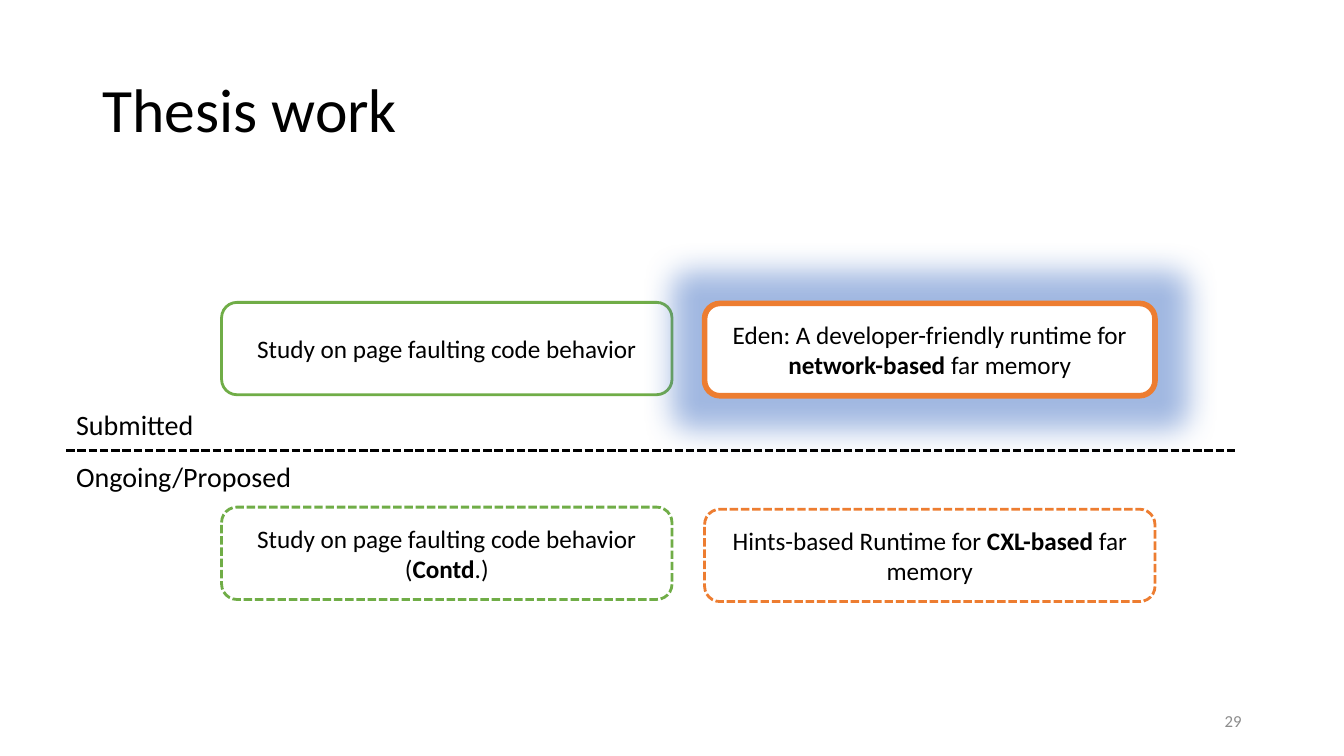
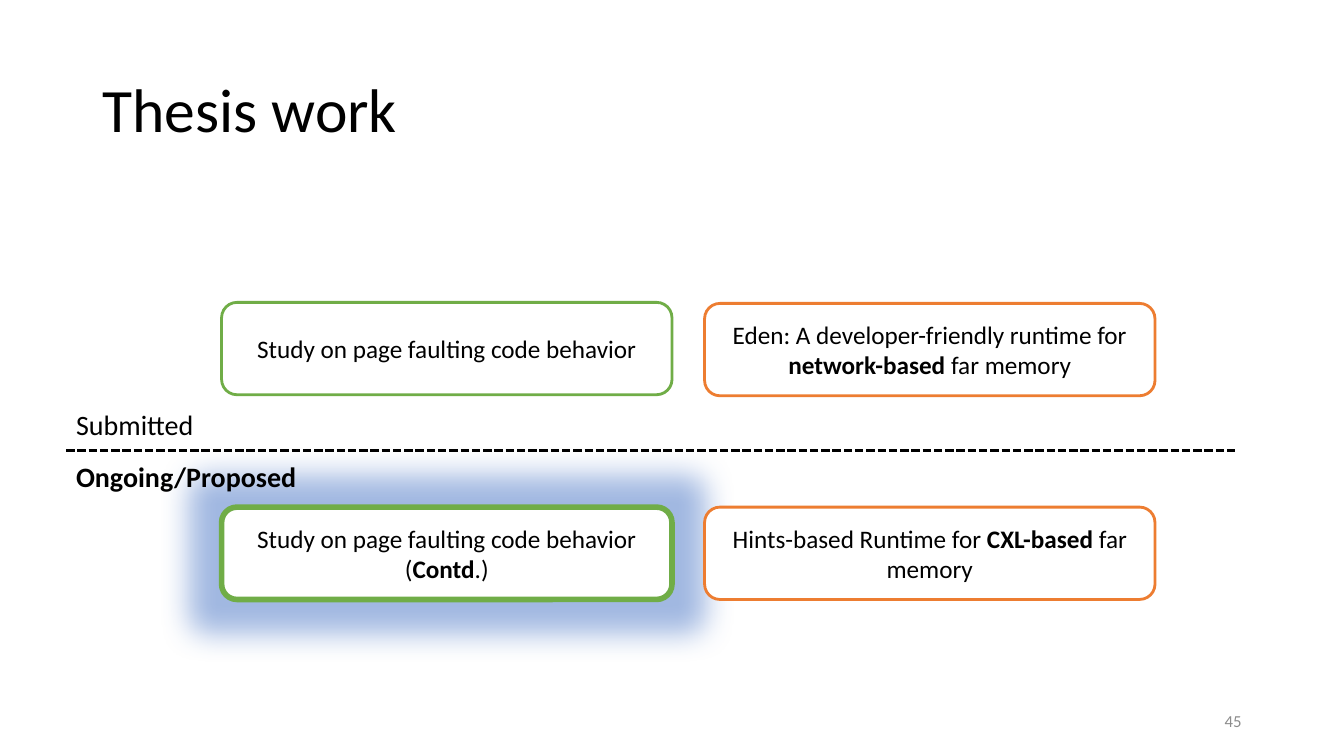
from lxml.etree import SubElement
from pptx import Presentation
from pptx.dml.color import RGBColor
from pptx.enum.dml import MSO_LINE
from pptx.enum.shapes import MSO_CONNECTOR, MSO_SHAPE
from pptx.enum.text import MSO_ANCHOR, MSO_AUTO_SIZE, PP_ALIGN
from pptx.oxml.ns import qn
from pptx.util import Emu, Pt

PX = 9525
FONT = "Calibri"
BLACK, WHITE, GRAY = "000000", "FFFFFF", "8C8C8C"
GREEN, ORANGE, BLUE = "70AD47", "ED7D31", "4472C4"
LEFT, RIGHT = 211, 671
TOP, LOW = 288, 483
BOX_W, BOX_H = 429, 88
EDGE, RULE_Y, RULE_END = 63, 429, 1177
GLOW = 57

TOPICS = [
    (LEFT, TOP, GREEN, ["Study on page faulting code behavior"]),
    (RIGHT, TOP + 1, ORANGE,
     ["Eden: A developer-friendly runtime for ", "network-based", " far memory"]),
    (LEFT, LOW, GREEN, ["Study on page faulting code behavior (", "Contd", ".)"]),
    (RIGHT, LOW, ORANGE, ["Hints-based Runtime for", " CXL-based ", "far memory"]),
]


def px(*sizes):
    return [Emu(size * PX) for size in sizes]


def color(code):
    return RGBColor.from_string(code)


def style(font, size, code=BLACK, bold=False):
    font.name, font.size, font.bold = FONT, Pt(size), bold
    font.color.rgb = color(code)


def stroke(line, code, width, dashed=False):
    line.color.rgb = color(code)
    line.width = Pt(width)
    if dashed:
        line.dash_style = MSO_LINE.SQUARE_DOT


def add_title(slide, text):
    title = slide.shapes.title
    title.left, title.top, title.width, title.height = px(88, 38, 1104, 139)
    frame = title.text_frame
    frame.text = text
    frame.auto_size = MSO_AUTO_SIZE.NONE
    frame.vertical_anchor = MSO_ANCHOR.MIDDLE
    para = frame.paragraphs[0]
    para.alignment, para.line_spacing = PP_ALIGN.LEFT, 0.9
    style(para.runs[0].font, 44)


def add_label(slide, area, text, size, code=BLACK, bold=False,
              align=PP_ALIGN.LEFT, anchor=MSO_ANCHOR.TOP):
    frame = slide.shapes.add_textbox(*px(*area)).text_frame
    frame.word_wrap = True
    frame.vertical_anchor = anchor
    frame.text = text
    para = frame.paragraphs[0]
    para.alignment = align
    style(para.runs[0].font, size, code, bold)


def add_glow(shape):
    effects = shape._element.spPr.find(qn("a:effectLst"))
    glow = SubElement(effects, qn("a:glow"), rad=str(GLOW * PX))
    tint = SubElement(glow, qn("a:srgbClr"), val=BLUE)
    SubElement(tint, qn("a:alpha"), val="50000")


def add_box(slide, left, top, code, parts, active, dashed):
    """Draw a topic box; every second text part is bold."""
    box = slide.shapes.add_shape(MSO_SHAPE.ROUNDED_RECTANGLE,
                                 *px(left, top, BOX_W, BOX_H))
    box.fill.solid()
    box.fill.fore_color.rgb = color(WHITE)
    stroke(box.line, code, 4 if active else 2, dashed)
    box.shadow.inherit = False
    if active:
        add_glow(box)
    frame = box.text_frame
    frame.word_wrap = True
    frame.vertical_anchor = MSO_ANCHOR.MIDDLE
    para = frame.paragraphs[0]
    para.alignment = PP_ALIGN.CENTER
    for index, part in enumerate(parts):
        run = para.add_run()
        run.text = part
        style(run.font, 18, bold=index % 2 == 1)


def add_rule(slide):
    rule = slide.shapes.add_connector(MSO_CONNECTOR.STRAIGHT,
                                      *px(EDGE, RULE_Y, RULE_END, RULE_Y))
    stroke(rule.line, BLACK, 2, True)
    SubElement(rule._element.spPr, qn("a:effectLst"))


def add_page(deck, number, active, planned):
    slide = deck.slides.add_slide(deck.slide_layouts[5])
    add_title(slide, "Thesis work")
    for index, (left, top, code, parts) in enumerate(TOPICS):
        dashed = planned and index >= 2
        shift = 2 if dashed and left == RIGHT else 0
        add_box(slide, left, top + shift, code, parts, index == active, dashed)
    add_rule(slide)
    add_label(slide, (EDGE, 383, 180, 42), "Submitted", 20)
    add_label(slide, (EDGE, 433, 258, 42), "Ongoing/Proposed", 20,
              bold=not planned)
    add_label(slide, (904, 667, 288, 38), str(number), 12, GRAY,
              align=PP_ALIGN.RIGHT, anchor=MSO_ANCHOR.MIDDLE)


def main():
    deck = Presentation()
    deck.slide_width, deck.slide_height = px(1280, 720)
    add_page(deck, 29, active=1, planned=True)
    add_page(deck, 45, active=2, planned=False)
    deck.save("out.pptx")


if __name__ == "__main__":
    main()
